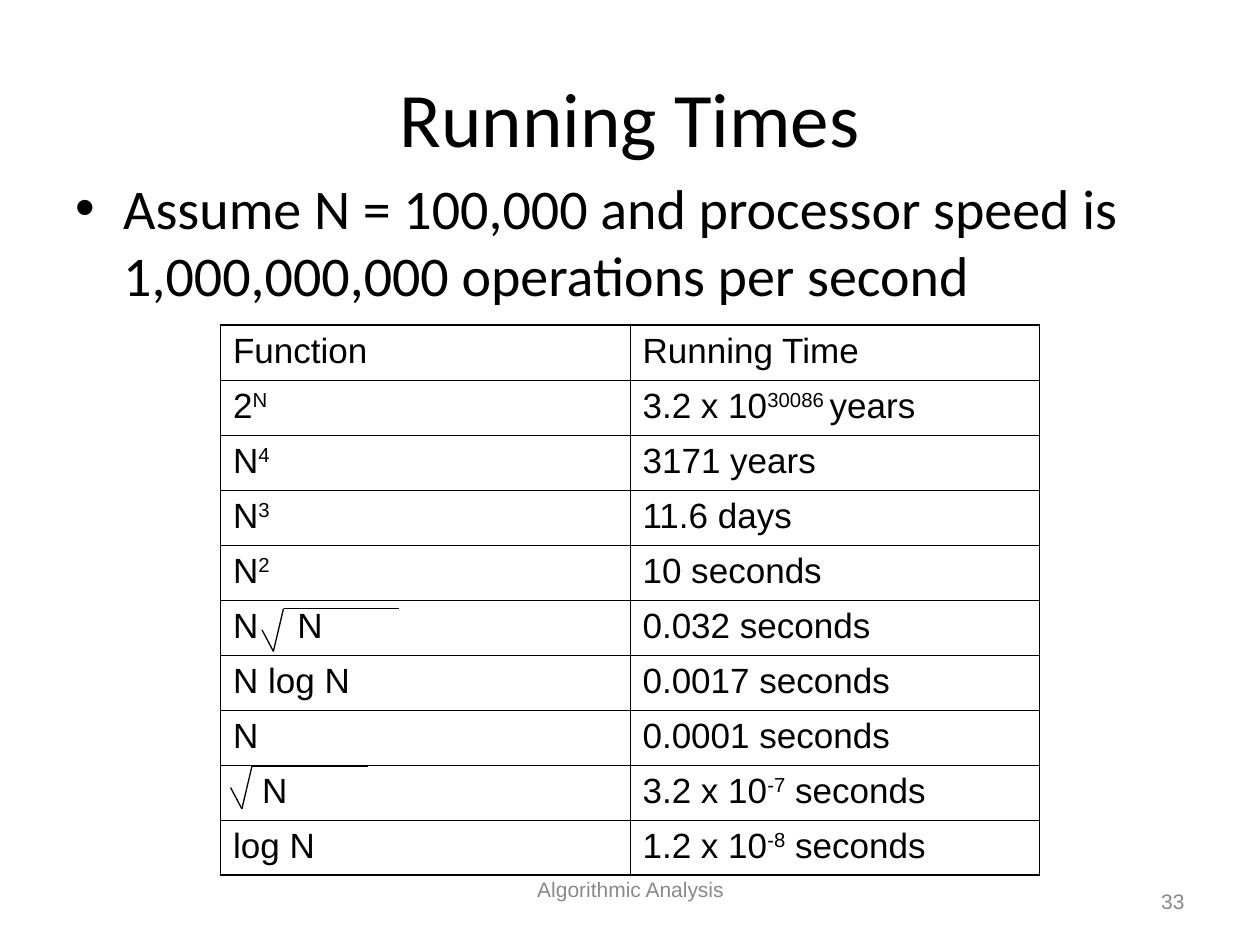
from pptx import Presentation
from pptx.dml.color import RGBColor
from pptx.enum.shapes import MSO_CONNECTOR as Connector
from pptx.enum.text import MSO_ANCHOR as Anchor, PP_ALIGN as Align
from pptx.oxml.xmlchemy import OxmlElement
from pptx.util import Inches, Pt

BLACK = RGBColor(0x00, 0x00, 0x00)
GREY = RGBColor(0x89, 0x89, 0x89)
HEADING_FONT = "Calibri"
PLAIN_FONT = "Arial"
OUTER_BORDER, INNER_BORDER = 1.08, 0.45

# A caret switches superscript on and off.
RUNNING_TIMES = [
    ("Function", "Running Time"),
    ("2^N", "3.2 x 10^30086 ^years"),
    ("N^4", "3171 years"),
    ("N^3", "11.6 days"),
    ("N^2", "10 seconds"),
    ("N\tN", "0.032 seconds"),
    ("N log N", "0.0017 seconds"),
    ("N", "0.0001 seconds"),
    ("N", "3.2 x 10^-7^ seconds"),
    ("log N", "1.2 x 10^-8^ seconds"),
]
N_ROOT_N_ROW, ROOT_N_ROW = 5, 8


def add_child(parent, tag, **attributes):
    child = OxmlElement(tag)
    for name, value in attributes.items():
        child.set(name, str(value))
    parent.append(child)
    return child


def indent(para, left, first=0):
    properties = para._p.get_or_add_pPr()
    properties.set("marL", str(Inches(left)))
    properties.set("indent", str(Inches(first)))


class SlideBuilder:
    def __init__(self, page):
        self.page = page

    def style(self, para, font, size, color, before=0):
        para.space_before = Pt(before)
        for span in para.runs:
            span.font.name = font
            span.font.size = Pt(size)
            span.font.color.rgb = color

    def text(self, wording, left, top, width, height, font, size, color=BLACK,
             align=Align.LEFT, anchor=Anchor.TOP, before=0):
        box = self.page.shapes.add_textbox(
            Inches(left), Inches(top), Inches(width), Inches(height))
        frame = box.text_frame
        frame.word_wrap = True
        frame.vertical_anchor = anchor
        frame.text = wording
        para = frame.paragraphs[0]
        para.alignment = align
        self.style(para, font, size, color, before)
        return box

    def bullet(self, para):
        indent(para, 0.38, -0.38)
        properties = para._p.get_or_add_pPr()
        add_child(properties, "a:buFont", typeface="Arial")
        add_child(properties, "a:buChar", char="•")

    def borders(self, cell, widths):
        """Draw the left, right, top and bottom edges, in points."""
        properties = cell._tc.get_or_add_tcPr()
        for side, width in zip("LRTB", widths):
            line = add_child(properties, f"a:ln{side}", w=Pt(width))
            fill = add_child(line, "a:solidFill")
            add_child(fill, "a:srgbClr", val=BLACK)

    def cell(self, cell, wording):
        para = cell.text_frame.paragraphs[0]
        for number, part in enumerate(wording.split("^")):
            span = para.add_run()
            span.text = part
            if number % 2:
                span.font._element.set("baseline", "30000")
        self.style(para, PLAIN_FONT, 20, BLACK, before=5)

    def table(self, rows, left, top, width, height):
        count, columns = len(rows), len(rows[0])
        table = self.page.shapes.add_table(
            count, columns, Inches(left), Inches(top),
            Inches(width), Inches(height)).table
        table.first_row = table.horz_banding = False
        for r, row in enumerate(rows):
            for c, wording in enumerate(row):
                cell = table.cell(r, c)
                self.cell(cell, wording)
                at_edge = (c == 0, c == columns - 1, r == 0, r == count - 1)
                self.borders(cell, [OUTER_BORDER if edge else INNER_BORDER
                                    for edge in at_edge])
                cell.fill.background()
        return table

    def line(self, start, end):
        line = self.page.shapes.add_connector(
            Connector.STRAIGHT, *map(Inches, (*start, *end)))
        line.line.color.rgb = BLACK
        line.line.width = Pt(0.75)
        add_child(line._element.spPr, "a:effectLst")

    def radical(self, left, top):
        """Draw a square root sign from its tick to the end of its bar."""
        tick, foot, corner, end = [
            (left + x, top + y)
            for x, y in ((0, 0.17), (0.09, 0.34), (0.17, 0), (1.09, 0))]
        self.line(foot, corner)
        self.line(corner, end)
        self.line(tick, foot)


def main():
    deck = Presentation()
    deck.slide_width, deck.slide_height = Inches(10), Inches(7.5)
    page = deck.slides.add_slide(deck.slide_layouts[6])
    builder = SlideBuilder(page)

    builder.text("Running Times", 0.5, 0.3, 9, 1.25, HEADING_FONT, 44,
                 align=Align.CENTER, anchor=Anchor.MIDDLE)
    body = builder.text(
        "Assume N = 100,000 and processor speed is "
        "1,000,000,000 operations per second",
        0.5, 1.33, 9, 4.95, HEADING_FONT, 32, before=8)
    builder.bullet(body.text_frame.paragraphs[0])

    footer = builder.text("Algorithmic Analysis", 3.42, 6.95, 3.17, 0.4,
                          PLAIN_FONT, 12, GREY, Align.CENTER, before=3)
    footer.text_frame.margin_top = Inches(0.01)
    builder.text("33", 7.17, 6.95, 2.33, 0.4, PLAIN_FONT, 12, GREY,
                 Align.RIGHT, Anchor.MIDDLE, before=3)

    table = builder.table(RUNNING_TIMES, 1.75, 2.58, 6.5, 4.37)
    n_root_n, root_n = [table.cell(row, 0).text_frame.paragraphs[0]
                        for row in (N_ROOT_N_ROW, ROOT_N_ROW)]
    tabs = add_child(n_root_n._p.get_or_add_pPr(), "a:tabLst")
    add_child(tabs, "a:tab", pos=Inches(0.51), algn="l")
    indent(root_n, 0.23)

    builder.radical(2.08, 4.83)
    builder.radical(1.83, 6.08)
    deck.save("out.pptx")


if __name__ == "__main__":
    main()
